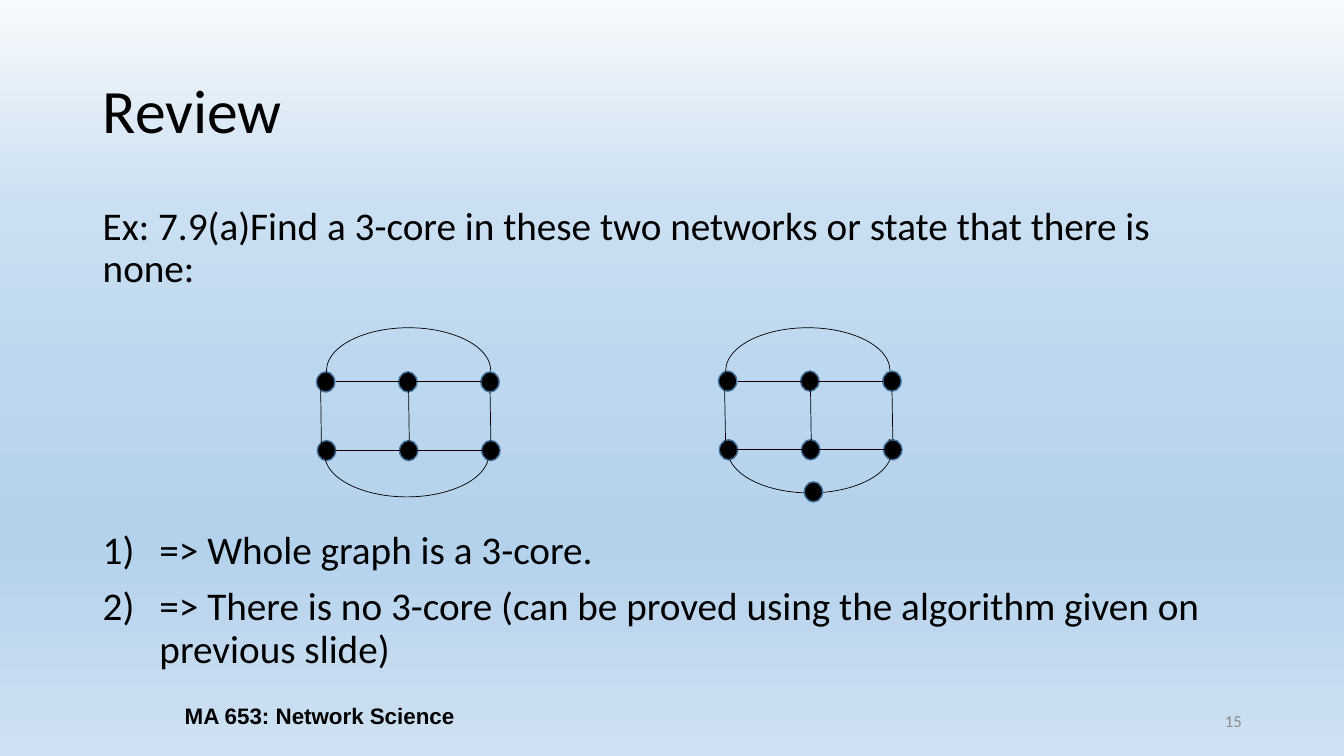
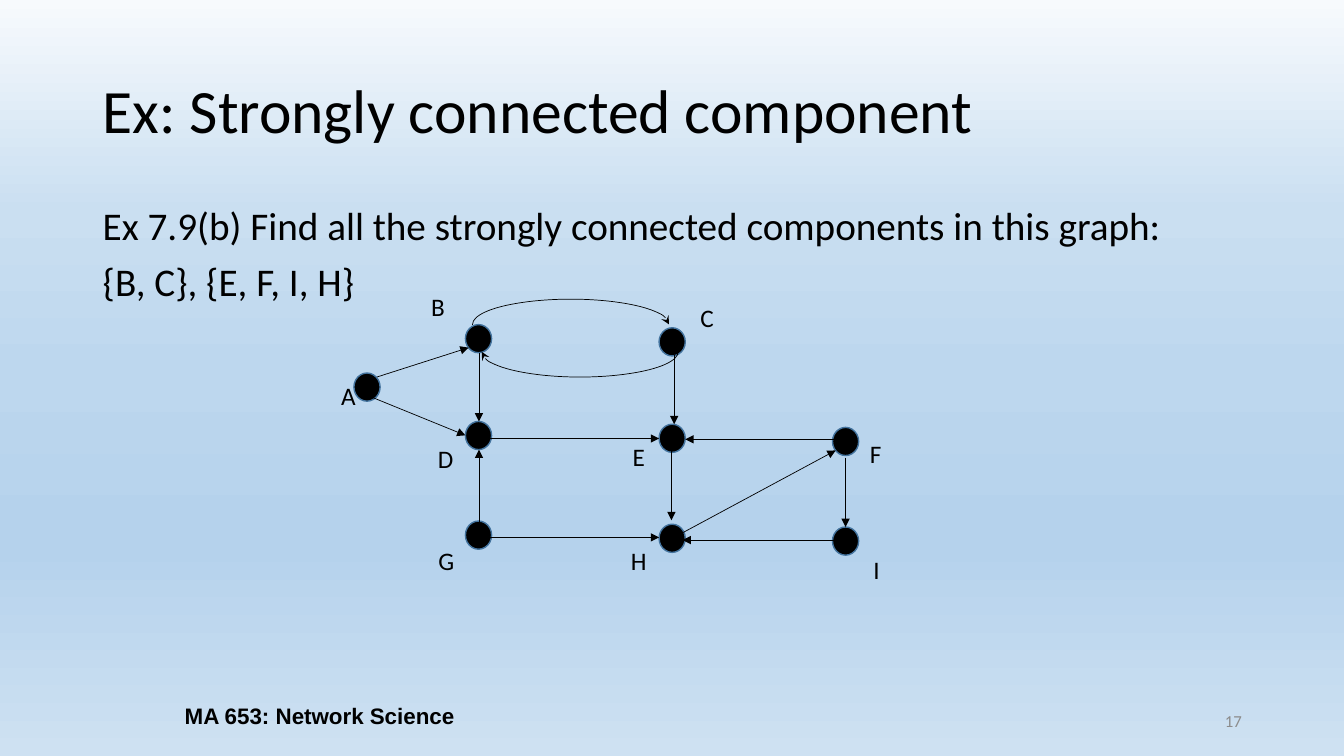
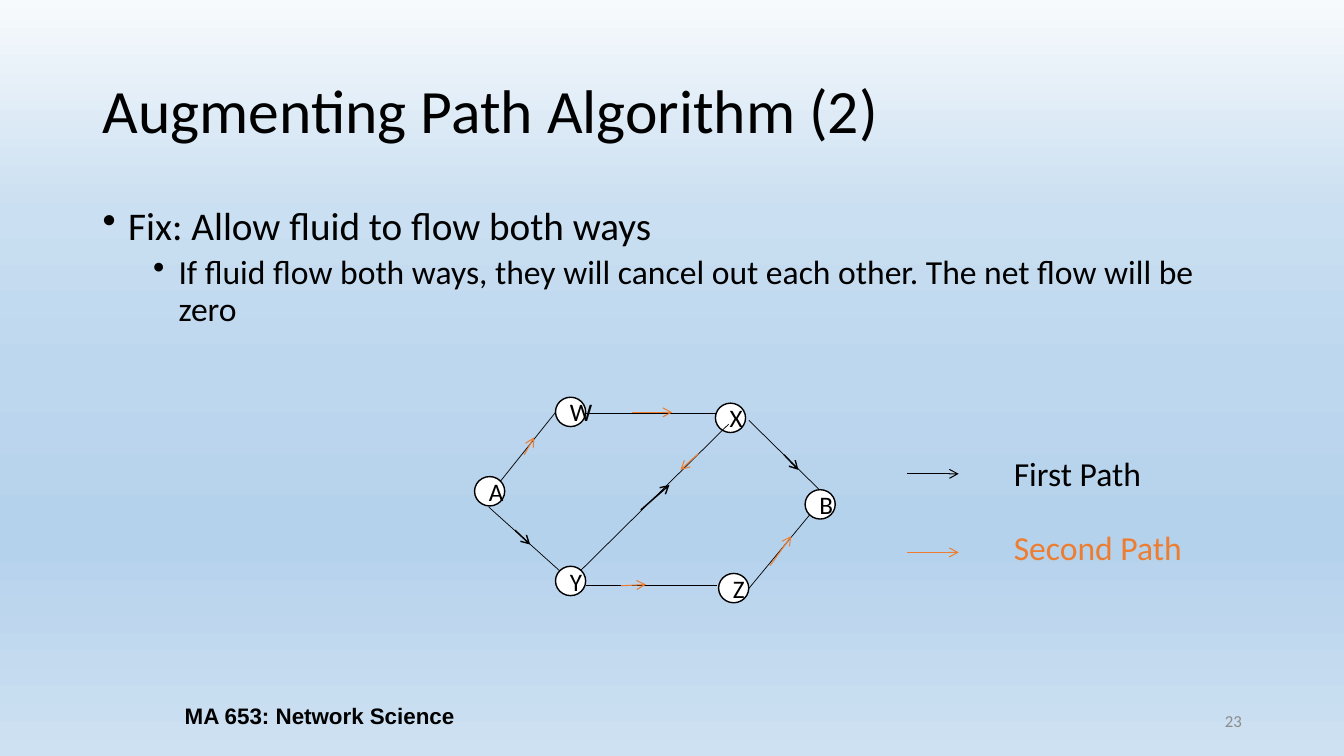
from dataclasses import dataclass
from typing import NamedTuple

import pptx
import pptx.dml.color
import pptx.enum.shapes
import pptx.enum.text
import pptx.oxml
import pptx.oxml.ns
import pptx.shapes.autoshape
import pptx.slide
import pptx.util
from pptx.dml.color import RGBColor
from pptx.enum.text import MSO_ANCHOR, PP_ALIGN
from pptx.oxml.ns import qn
from pptx.util import Cm, Pt

BLACK = RGBColor(0x00, 0x00, 0x00)
WHITE = RGBColor(0xFF, 0xFF, 0xFF)
GREY = RGBColor(0x8C, 0x8C, 0x8C)
ORANGE = RGBColor(0xED, 0x7D, 0x31)
NODE_EDGE = RGBColor(0x43, 0x73, 0x9E)
BACKGROUND_STOPS = (
    (0, RGBColor(0xF7, 0xFA, 0xFD)),
    (28, RGBColor(0xCA, 0xDF, 0xF1)),
    (49, RGBColor(0xBD, 0xD7, 0xEE)),
    (71, RGBColor(0xB5, 0xD2, 0xEC)),
    (72, RGBColor(0xB5, 0xD2, 0xEC)),
    (100, RGBColor(0xCE, 0xE1, 0xF2)),
)

BULLET = ("a:buChar", "char", "•")
NUMBER = ("a:buAutoNum", "type", "arabicParenR")


class Area(NamedTuple):
    left: float
    top: float
    width: float
    height: float


class Segment(NamedTuple):
    x1: float
    y1: float
    x2: float
    y2: float

    def moved(self, left: float, top: float) -> "Segment":
        return Segment(self.x1 + left, self.y1 + top, self.x2 + left, self.y2 + top)


@dataclass(frozen=True)
class Paragraph:
    text: str
    size: float = 28
    color: RGBColor = BLACK
    font: str = "Calibri"
    bold: bool = False
    align: PP_ALIGN = PP_ALIGN.LEFT
    line_spacing: float = 1.0
    before: float = 0
    marker: tuple[str, str, str] | None = None
    margin: float = 0
    hanging: float = 0
    level: int = 0


@dataclass(frozen=True)
class Network:
    left: float
    top: float
    left_edge: Segment
    upper_arc: Area
    lower_arc: Area


@dataclass(frozen=True)
class Vertex:
    name: str
    left: float
    top: float
    label_left: float
    label_top: float


class Station(NamedTuple):
    name: str
    left: float
    top: float


class LegendEntry(NamedTuple):
    text: str
    color: RGBColor
    arrow_top: float
    text_top: float


TITLE_AREA = Area(2.34, 1.02, 29.21, 3.68)
BODY_AREA = Area(2.34, 5.08, 29.21, 12.09)
NUMBER_AREA = Area(23.93, 17.65, 7.62, 1.02)
FOOTER_AREA = Area(2.34, 17.53, 11.43, 1.02)

COLUMN_PITCH, ROW_PITCH, ROW_SHIFT = 2.07, 1.73, 0.02
SMALL_NODE = (0.46, 0.51)
LARGE_NODE = (0.66, 0.71)
STATION_SIZE = (0.76, 0.74)
NETWORK_EDGES = (
    Segment(0.48, 0.25, 4.14, 0.25),
    Segment(0.03, 1.98, 4.62, 1.98),
    Segment(2.31, 0, 2.34, 2.18),
    Segment(4.37, 0.51, 4.39, 1.73),
)
NETWORKS = (
    Network(7.98, 9.37, Segment(8.08, 9.63, 8.1, 11.35),
            Area(8.23, 8.26, 4.14, 2.16), Area(8.18, 10.36, 4.14, 2.16)),
    Network(18.11, 9.35, Segment(18.26, 9.73, 18.29, 11.46),
            Area(18.29, 8.26, 4.14, 2.16), Area(18.34, 10.26, 4.14, 2.16)),
)
EXTRA_NODE = (20.27, 12.14)

VERTICES = (
    Vertex("A", 8.92, 9.4, 8.33, 9.47),
    Vertex("B", 11.73, 8.18, 10.59, 7.21),
    Vertex("C", 16.61, 8.26, 17.37, 7.49),
    Vertex("D", 11.73, 10.62, 10.78, 11.05),
    Vertex("E", 16.61, 10.69, 15.65, 11),
    Vertex("F", 20.98, 10.77, 21.62, 10.92),
    Vertex("G", 11.73, 13.13, 10.8, 13.61),
    Vertex("H", 16.61, 13.21, 15.65, 13.61),
    Vertex("I", 20.98, 13.28, 21.64, 13.84),
)
DIRECTED_EDGES = (
    Segment(9.5, 9.5, 11.81, 8.76),
    Segment(12.07, 8.89, 12.07, 10.62),
    Segment(16.99, 8.94, 16.99, 10.69),
    Segment(9.25, 9.96, 11.73, 10.97),
    Segment(12.07, 13.49, 12.07, 11.33),
    Segment(12.14, 13.54, 16.61, 13.54),
    Segment(12.14, 11.05, 16.61, 11.05),
    Segment(16.99, 13.54, 21.06, 11.35),
    Segment(21.54, 11.07, 17.27, 11.07),
    Segment(16.92, 11.35, 16.92, 13.11),
    Segment(21.31, 11.53, 21.31, 13.28),
    Segment(21.49, 13.61, 17.2, 13.61),
)

STATIONS = (
    Station("W", 14, 10.01),
    Station("Y", 14, 14.27),
    Station("A", 11.96, 12.01),
    Station("X", 18.03, 10.16),
    Station("Z", 18.11, 14.45),
    Station("B", 20.29, 12.34),
)
PIPES = (
    Segment(12.6, 12.14, 14, 10.39),
    Segment(14.76, 10.41, 18.04, 10.41),
    Segment(12.32, 12.78, 14.1, 14.38),
    Segment(18.87, 10.59, 20.65, 12.34),
    Segment(14.76, 14.76, 18.08, 14.76),
    Segment(18.87, 14.83, 20.4, 12.98),
    Segment(14.63, 14.38, 18.36, 10.69),
)
FIRST_PATH = (
    Segment(12.98, 13.36, 13.36, 13.72),
    Segment(16.15, 12.85, 16.87, 12.22),
    Segment(19.76, 11.46, 20.12, 11.84),
)
SECOND_PATH = (
    Segment(13.21, 11.46, 13.46, 11.02),
    Segment(15.93, 10.39, 16.94, 10.39),
    Segment(17.6, 11.43, 17.15, 11.84),
    Segment(15.65, 14.76, 16.28, 14.73),
    Segment(19.41, 14.25, 19.94, 13.51),
)
LEGEND = (
    LegendEntry("First Path", BLACK, 11.94, 11.3),
    LegendEntry("Second Path", ORANGE, 13.92, 13.16),
)


def add_text(page: pptx.slide.Slide, area: Area, *items: Paragraph,
             anchor: MSO_ANCHOR = MSO_ANCHOR.TOP, wrap: bool = True) -> None:
    box = page.shapes.add_textbox(*map(Cm, area))
    box.text_frame.word_wrap = wrap
    box.text_frame.vertical_anchor = anchor
    for index, item in enumerate(items):
        para = box.text_frame.add_paragraph() if index else box.text_frame.paragraphs[0]
        write_paragraph(para, item)


def write_paragraph(para, item: Paragraph) -> None:
    para.text = item.text
    para.level = item.level
    para.alignment = item.align
    para.line_spacing = item.line_spacing
    para.space_before = Pt(item.before)
    if item.marker:
        tag, attribute, value = item.marker
        properties = para._p.get_or_add_pPr()
        properties.set("marL", str(Cm(item.margin)))
        properties.set("indent", str(-Cm(item.hanging)))
        mark = pptx.oxml.ns.nsdecls("a")
        properties.append(pptx.oxml.parse_xml(f'<{tag} {mark} {attribute}="{value}"/>'))
    para.font.name = item.font
    para.font.size = Pt(item.size)
    para.font.bold = item.bold
    para.font.color.rgb = item.color


def body_paragraph(text: str, **options) -> Paragraph:
    return Paragraph(text, **{"line_spacing": 0.9, "before": 10, **options})


def add_tail(shape, kind: str) -> None:
    outline = shape.element.find(qn("p:spPr")).find(qn("a:ln"))
    outline.append(outline.makeelement(qn("a:tailEnd"), {"type": kind}))


def add_line(page: pptx.slide.Slide, segment: Segment, width: float = 0.5,
             color: RGBColor = BLACK, tail: str = "") -> None:
    straight = pptx.enum.shapes.MSO_CONNECTOR.STRAIGHT
    line = page.shapes.add_connector(straight, *map(Cm, segment))
    line.line.color.rgb = color
    line.line.width = Pt(width)
    if tail:
        add_tail(line, tail)
    properties = line.element.find(qn("p:spPr"))
    properties.append(properties.makeelement(qn("a:effectLst"), {}))


def add_node(page: pptx.slide.Slide, area: Area, fill: RGBColor = BLACK,
             edge: RGBColor = NODE_EDGE) -> pptx.shapes.autoshape.Shape:
    node = page.shapes.add_shape(pptx.enum.shapes.MSO_SHAPE.OVAL, *map(Cm, area))
    node.shadow.inherit = False
    node.fill.solid()
    node.fill.fore_color.rgb = fill
    node.line.color.rgb = edge
    node.line.width = Pt(1)
    return node


def add_arc(page: pptx.slide.Slide, area: Area, start: float,
            rotation: float = 0, tail: str = "") -> None:
    arc = page.shapes.add_shape(pptx.enum.shapes.MSO_SHAPE.ARC, *map(Cm, area))
    arc.adjustments[0] = start
    arc.adjustments[1] = 0
    arc.rotation = rotation
    arc.shadow.inherit = False
    arc.fill.background()
    arc.line.color.rgb = BLACK
    arc.line.width = Pt(0.5)
    if tail:
        add_tail(arc, tail)


def paint_background(page: pptx.slide.Slide) -> None:
    fill = page.background.fill
    fill.gradient()
    fill.gradient_angle = 270
    stops = page.element.find(".//" + qn("a:gsLst"))
    for stop in list(stops):
        stops.remove(stop)
    for position, color in BACKGROUND_STOPS:
        stops.append(pptx.oxml.parse_xml(
            f'<a:gs {pptx.oxml.ns.nsdecls("a")} pos="{position * 1000}">'
            f'<a:srgbClr val="{color}"/></a:gs>'))


def add_page(deck, title: str, number: int, *body: Paragraph) -> pptx.slide.Slide:
    page = deck.slides.add_slide(deck.slide_layouts[6])
    paint_background(page)
    middle = MSO_ANCHOR.MIDDLE
    add_text(page, TITLE_AREA, Paragraph(title, 44, line_spacing=0.9), anchor=middle)
    add_text(page, BODY_AREA, *body)
    add_text(page, NUMBER_AREA,
             Paragraph(str(number), 12, GREY, align=PP_ALIGN.RIGHT), anchor=middle)
    add_text(page, FOOTER_AREA,
             Paragraph("MA 653: Network Science", 16, font="Arial", bold=True,
                       align=PP_ALIGN.CENTER), anchor=middle)
    return page


def draw_network(page: pptx.slide.Slide, network: Network) -> None:
    for row in range(2):
        for column in range(3):
            left = network.left + column * COLUMN_PITCH + row * ROW_SHIFT
            add_node(page, Area(left, network.top + row * ROW_PITCH, *SMALL_NODE))
    for edge in NETWORK_EDGES:
        add_line(page, edge.moved(network.left, network.top))
    add_line(page, network.left_edge)
    add_arc(page, network.upper_arc, 103.26)
    add_arc(page, network.lower_arc, 103.26, rotation=180)


def build_review(deck) -> None:
    numbered = {"marker": NUMBER, "margin": 1.43, "hanging": 1.43}
    page = add_page(
        deck, "Review", 15,
        body_paragraph("Ex: 7.9(a)Find a 3-core in these two networks "
                       "or state that there is none:"),
        body_paragraph("=> Whole graph is a 3-core.", before=171, **numbered),
        body_paragraph("=> There is no 3-core (can be proved using the algorithm "
                       "given on previous slide)", **numbered))
    for network in NETWORKS:
        draw_network(page, network)
    add_node(page, Area(*EXTRA_NODE, *SMALL_NODE))


def build_components(deck) -> None:
    page = add_page(
        deck, "Ex: Strongly connected component", 17,
        body_paragraph("Ex 7.9(b) Find all the strongly connected components in this graph:"),
        body_paragraph("{B, C}, {E, F, I, H}"))
    for vertex in VERTICES:
        add_node(page, Area(vertex.left, vertex.top, *LARGE_NODE))
    for edge in DIRECTED_EDGES:
        add_line(page, edge, tail="triangle")
    add_arc(page, Area(12.14, 8.23, 4.95, 1.27), 107.84, rotation=180, tail="stealth")
    add_arc(page, Area(11.91, 7.54, 4.95, 1.27), 107.84, tail="stealth")
    for vertex in VERTICES:
        add_text(page, Area(vertex.label_left, vertex.label_top, 0.9, 1.02),
                 Paragraph(vertex.name, 18, align=PP_ALIGN.CENTER), wrap=False)


def build_augmenting_path(deck) -> None:
    page = add_page(
        deck, "Augmenting Path Algorithm (2)", 23,
        body_paragraph("Fix: Allow fluid to flow both ways",
                       marker=BULLET, margin=0.64, hanging=0.64),
        body_paragraph("If fluid flow both ways, they will cancel out each other. "
                       "The net flow will be zero", size=24, before=5,
                       marker=BULLET, margin=1.91, hanging=0.64, level=1))
    for station in STATIONS:
        node = add_node(page, Area(station.left, station.top, *STATION_SIZE), WHITE, BLACK)
        write_paragraph(node.text_frame.paragraphs[0],
                        Paragraph(station.name, 18, align=PP_ALIGN.CENTER))
    for pipe in PIPES:
        add_line(page, pipe)
    for arrow in FIRST_PATH:
        add_line(page, arrow, 1, tail="arrow")
    for arrow in SECOND_PATH:
        add_line(page, arrow, 0.75, ORANGE, "arrow")
    for entry in LEGEND:
        add_line(page, Segment(22.86, entry.arrow_top, 24.16, entry.arrow_top),
                 0.75, entry.color, "arrow")
        add_text(page, Area(25.3, entry.text_top, 5.41, 1.27),
                 Paragraph(entry.text, 24, entry.color))


def main() -> None:
    deck = pptx.Presentation()
    deck.slide_width = Cm(33.87)
    deck.slide_height = Cm(19.05)
    build_review(deck)
    build_components(deck)
    build_augmenting_path(deck)
    deck.save("out.pptx")


if __name__ == "__main__":
    main()
